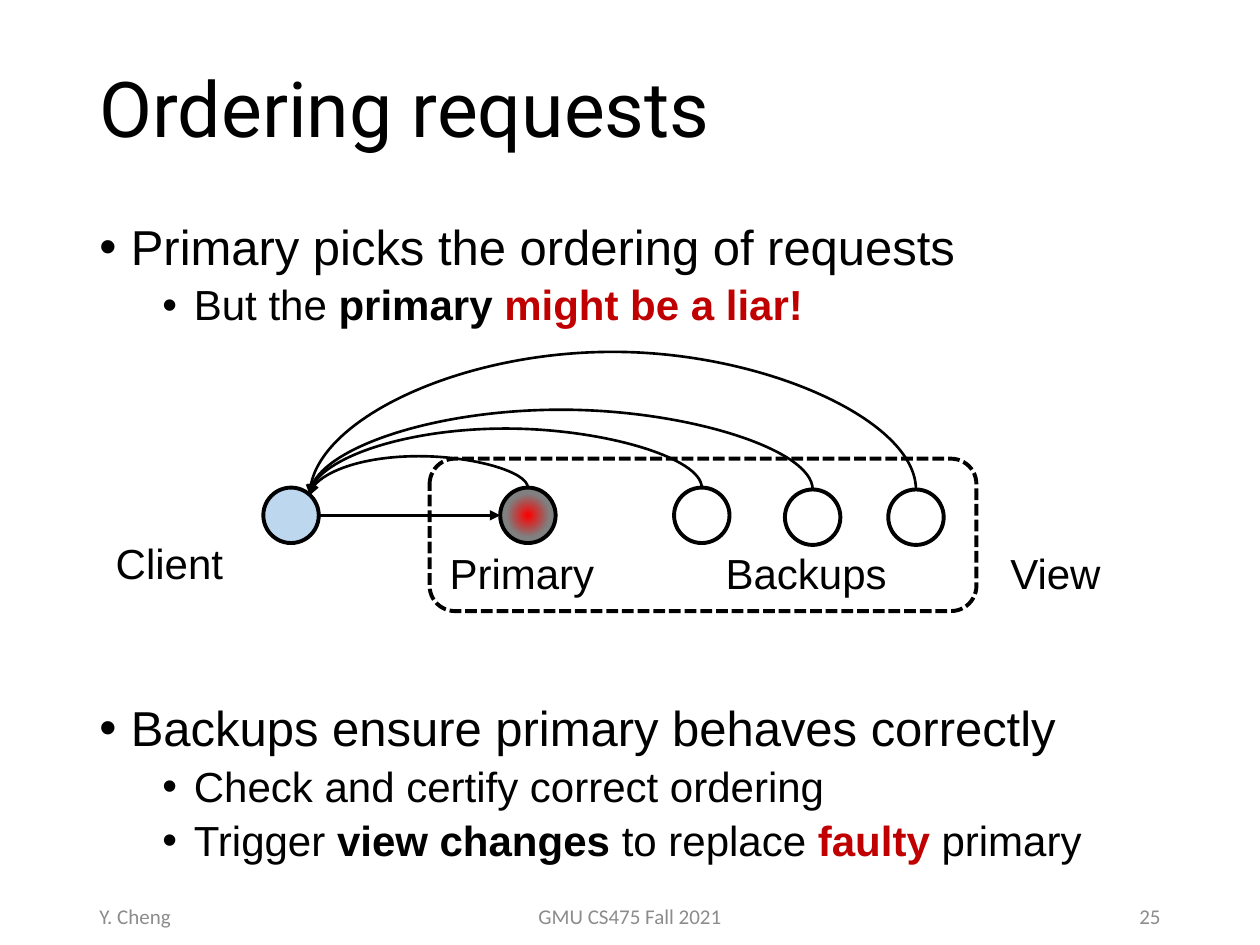
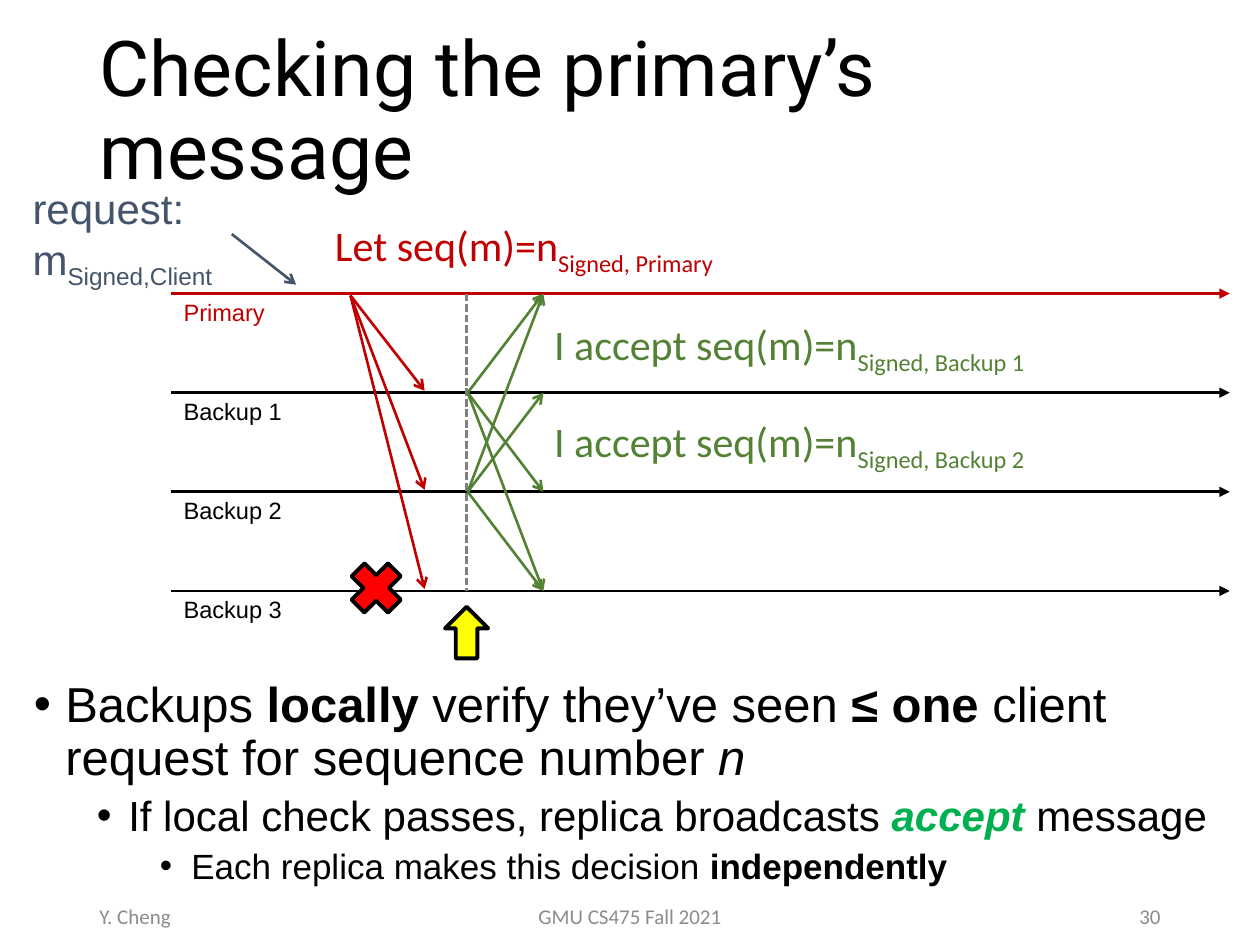
from dataclasses import dataclass

from pptx import Presentation
from pptx import util as u
from pptx.dml.color import RGBColor
from pptx.enum import dml, shapes, text
from pptx.oxml.ns import qn
from pptx.oxml.xmlchemy import OxmlElement

BLACK = RGBColor(0x00, 0x00, 0x00)
WHITE = RGBColor(0xFF, 0xFF, 0xFF)
GRAY = RGBColor(0x80, 0x80, 0x80)
FOOTER_GRAY = RGBColor(0x8C, 0x8C, 0x8C)
DARK_RED = RGBColor(0xC0, 0x00, 0x00)
RED = RGBColor(0xFF, 0x00, 0x00)
YELLOW = RGBColor(0xFF, 0xFF, 0x00)
GREEN = RGBColor(0x54, 0x82, 0x35)
BRIGHT_GREEN = RGBColor(0x00, 0xB0, 0x50)
SLATE = RGBColor(0x44, 0x54, 0x6A)
PALE_BLUE = RGBColor(0xBD, 0xD7, 0xEE)

SHAPE = shapes.MSO_SHAPE
ALIGN = text.PP_ALIGN
BOLD = dict(bold=True)
RED_BOLD = dict(bold=True, color=DARK_RED)
SUB = dict(baseline=-25)


@dataclass
class Box:
    """A region in inches, divided into columns and rows."""
    x: float
    y: float
    w: float
    h: float
    cols: float = 100
    rows: float = 100

    def point(self, col, row):
        """Return the slide position of a grid point."""
        return (u.Inches(self.x + col * self.w / self.cols),
                u.Inches(self.y + row * self.h / self.rows))

    def area(self, col, row, cols, rows):
        """Return left, top, width and height of a grid cell range."""
        return (*self.point(col, row), u.Inches(cols * self.w / self.cols),
                u.Inches(rows * self.h / self.rows))


PAGE = Box(0, 0, 10, 7.5)


def add_run(p, words, size=24, font="Arial", color=BLACK, bold=False,
            italic=False, baseline=0):
    """Add one formatted run to a paragraph."""
    r = p.add_run()
    r.text = words
    r.font.size, r.font.name = u.Pt(size), font
    r.font.bold, r.font.italic = bold, italic
    r.font.color.rgb = color
    if baseline:
        r.font._element.set("baseline", str(baseline * 1000))


def write(tf, *paras, align=ALIGN.LEFT, anchor=text.MSO_ANCHOR.TOP,
          spacing=None, **fmt):
    """Fill a text frame; a paragraph is a list of words or (words, format)."""
    tf.word_wrap, tf.vertical_anchor = True, anchor
    tf.auto_size = text.MSO_AUTO_SIZE.NONE
    for i, runs in enumerate(paras):
        p = tf.add_paragraph() if i else tf.paragraphs[0]
        p.alignment, p.line_spacing = align, spacing
        for run in runs:
            words, extra = (run, {}) if isinstance(run, str) else run
            add_run(p, words, **{**fmt, **extra})


def add_text(s, place, *paras, **fmt):
    """Add a text box."""
    write(s.shapes.add_textbox(*place).text_frame, *paras, **fmt)


def add_bullets(s, place, items):
    """Add a bulleted list of (level, space before, runs)."""
    tf = s.shapes.add_textbox(*place).text_frame
    sized = [[(r, {}) if isinstance(r, str) else r for r in runs]
             for _, _, runs in items]
    write(tf, *[[(t, dict(size=28 - 4 * level, **f)) for t, f in runs]
                for (level, _, _), runs in zip(items, sized)], spacing=0.9)
    for p, (level, before, _) in zip(tf.paragraphs, items):
        p.level, p.space_before = level, u.Pt(before)
        pPr = p._p.get_or_add_pPr()
        pPr.set("marL", str(u.Inches(0.25 + 0.5 * level)))
        pPr.set("indent", str(u.Inches(-0.25)))
        for tag, key, value in (("a:buFont", "typeface", "Arial"),
                                ("a:buChar", "char", "•")):
            el = OxmlElement(tag)
            el.set(key, value)
            pPr.append(el)


def add_shape(s, kind, place, fill=None):
    """Add a preset shape with a heavy black outline."""
    sp = s.shapes.add_shape(kind, *place)
    sp.shadow.inherit = False
    if fill is None:
        sp.fill.background()
    else:
        sp.fill.solid()
        sp.fill.fore_color.rgb = fill
    sp.line.color.rgb, sp.line.width = BLACK, u.Pt(2.25)
    return sp


def add_line(s, start, end, color=BLACK, head="triangle", dash=None,
             kind=shapes.MSO_CONNECTOR.STRAIGHT):
    """Add a connector, with an arrowhead at its end unless head is None."""
    c = s.shapes.add_connector(kind, *start, *end)
    c.line.color.rgb, c.line.width = color, u.Pt(1.5)
    if dash:
        c.line.dash_style = dash
    spPr = c._element.spPr
    if head:
        tail = OxmlElement("a:tailEnd")
        tail.set("type", head)
        spPr.find(qn("a:ln")).append(tail)
    spPr.append(OxmlElement("a:effectLst"))
    return c


def add_arc(s, start, end, peak):
    """Add a curved arrow that rises from start to peak and falls to end."""
    (x1, y1), (x2, y2) = start, end
    drop, span = y2 - y1, x1 - x2
    cx, cy = (x1 + x2) // 2, (y1 + y2) // 2
    c = add_line(s, (cx + drop // 2, cy + span // 2),
                 (cx - drop // 2, cy - span // 2),
                 kind=shapes.MSO_CONNECTOR.CURVE)
    spPr = c._element.spPr
    spPr.find(qn("a:xfrm")).set("rot", str(270 * 60000))
    geom = spPr.find(qn("a:prstGeom"))
    guide = OxmlElement("a:gd")
    guide.set("name", "adj1")
    guide.set("fmla", f"val {round((peak - y1) / drop * 100000)}")
    geom.get_or_add_avLst().append(guide)


def glow(sp, inner, outer):
    """Fill a shape with a round gradient from its centre."""
    sp.fill.gradient()
    for stop, color, pos in zip(sp.fill.gradient_stops, (inner, outer), (0, 0.55)):
        stop.color.rgb, stop.position = color, pos
    grad = sp._element.spPr.find(qn("a:gradFill"))
    grad.remove(grad.find(qn("a:lin")))
    circle, rect = OxmlElement("a:path"), OxmlElement("a:fillToRect")
    circle.set("path", "circle")
    for side in "ltrb":
        rect.set(side, "50000")
    circle.append(rect)
    grad.append(circle)


def add_page(prs, title, number):
    """Add a slide with its title and footer."""
    s = prs.slides.add_slide(prs.slide_layouts[5])
    sp = s.shapes.title
    sp.left, sp.top, sp.width, sp.height = PAGE.area(6.9, 2.3, 86.2, 19.3)
    middle = text.MSO_ANCHOR.MIDDLE
    write(sp.text_frame, [title], anchor=middle, spacing=0.9, size=44, font="Roboto")
    for col, cols, words, align in ((6.9, 22.5, "Y. Cheng", ALIGN.LEFT),
                                    (33.1, 33.8, "GMU CS475 Fall 2021", ALIGN.CENTER),
                                    (70.6, 22.5, str(number), ALIGN.RIGHT)):
        add_text(s, PAGE.area(col, 94.27, cols, 5.33), [words], align=align,
                 anchor=middle, size=12, font="Calibri", color=FOOTER_GRAY)
    return s


def draw_view(s, box):
    """Draw the client, the view of replicas and the replies."""
    size, middle = 1.76, 6.36
    radius = size / 2
    client, primary = 9.24, 16.76
    for x, y, fill in ((client, middle, PALE_BLUE), (primary, middle, GRAY),
                       (22.28, middle, WHITE), (25.8, 6.42, WHITE),
                       (29.08, 6.42, WHITE)):
        sp = add_shape(s, SHAPE.OVAL, box.area(x - radius, y - radius, size, size), fill)
        if x == primary:
            glow(sp, RED, GRAY)
    view = add_shape(s, SHAPE.ROUNDED_RECTANGLE, box.area(13.64, 4.56, 17.36, 4.84))
    view.line.dash_style = dml.MSO_LINE.SQUARE_DOT
    for x, y, peak in ((29.08, 6.42, 1.16), (22.28, middle, 3.6),
                       (25.8, 6.42, 3), (primary, middle, 4.48)):
        add_arc(s, box.point(x, y - radius), box.point(9.84, 5.72),
                box.point(0, peak)[1])
    add_line(s, box.point(client + radius, middle), box.point(primary - radius, middle))
    for words, col, row, cols in (("Client", 3.28, 6.88, 4.56), ("View", 31.68, 7.2, 3.84),
                                  ("Primary", 13.88, 7.2, 5.84),
                                  ("Backups", 22.64, 7.18, 6.44)):
        add_text(s, box.area(col, row, cols, 2), [words])


def draw_lanes(s, box):
    """Draw a timeline for each replica and the messages between them."""
    names = ("Primary", "Backup 1", "Backup 2", "Backup 3")
    for lane, name in enumerate(names):
        color = BLACK if lane else DARK_RED
        add_line(s, box.point(0, lane), box.point(box.cols, lane), color)
        add_text(s, box.area(0, lane - 0.02, 2.42, 0.56), [name], size=13.5, color=color)
    for lane in (1, 2, 3):
        add_line(s, box.point(2.37, 0.02), box.point(3.35, lane - 0.02), DARK_RED, "arrow")
    cross = add_shape(s, SHAPE.CROSS, box.area(2.37, 2.71, 0.68, 0.52), RED)
    cross.rotation, cross.adjustments[0] = 45, 0.325
    add_line(s, box.point(3.9, 0), box.point(3.9, 3), GRAY, None,
             dml.MSO_LINE.SQUARE_DOT)
    add_shape(s, SHAPE.UP_ARROW, box.area(3.62, 3.16, 0.57, 0.52), YELLOW)
    for sender in (1, 2):
        for lane in range(4):
            if lane != sender:
                add_line(s, box.point(3.92, sender), box.point(4.92, lane), GREEN, "arrow")
        add_text(s, box.area(4.9, sender * 0.98 - 0.79, 8.2, 0.64),
                 ["I accept seq(m)=n", (f"Signed, {names[sender]}", SUB)],
                 font="Calibri", color=GREEN)
    add_text(s, box.area(2, -0.81, 6.85, 0.64),
             ["Let seq(m)=n", ("Signed, Primary", SUB)], font="Calibri", color=DARK_RED)
    add_text(s, box.area(-2, -1.18, 3.23, 1.16), ["request:"],
             ["m", ("Signed,Client", SUB)], color=SLATE)
    add_line(s, box.point(0.8, -0.6), box.point(1.65, -0.09), SLATE, "arrow")


def ordering_slide(prs):
    """Build the slide on how requests are ordered."""
    s = add_page(prs, "Ordering requests", 25)
    add_bullets(s, PAGE.area(6.9, 22.93, 86.2, 69.87), [
        (0, 10, ["Primary picks the ordering of requests"]),
        (1, 5, ["But the ", ("primary ", BOLD), ("might be a liar!", RED_BOLD)]),
        (0, 214, ["Backups ensure primary behaves correctly"]),
        (1, 5, ["Check and certify correct ordering"]),
        (1, 5, ["Trigger ", ("view changes ", BOLD), "to replace ",
                ("faulty", RED_BOLD), " primary"])])
    draw_view(s, Box(0, 2.5, 10, 2.5, cols=40, rows=10))


def checking_slide(prs):
    """Build the slide on how backups check the primary."""
    s = add_page(prs, "Checking the primary’s message", 30)
    add_bullets(s, PAGE.area(1.7, 71.33, 95.8, 24), [
        (0, 10, ["Backups ", ("locally", BOLD), " verify they’ve seen ",
                 ("≤ one ", BOLD), "client request for sequence number ",
                 ("n", dict(italic=True))]),
        (1, 5, ["If local check passes, replica broadcasts ",
                ("accept ", dict(bold=True, italic=True, color=BRIGHT_GREEN)), "message"]),
        (2, 5, ["Each replica makes this decision ", ("independently", BOLD)])])
    draw_lanes(s, Box(1.36, 2.33, 8.4, 2.36, cols=14, rows=3))


def main():
    """Build and save the presentation."""
    prs = Presentation()
    prs.slide_width, prs.slide_height = u.Inches(PAGE.w), u.Inches(PAGE.h)
    ordering_slide(prs)
    checking_slide(prs)
    prs.save("out.pptx")


if __name__ == "__main__":
    main()
